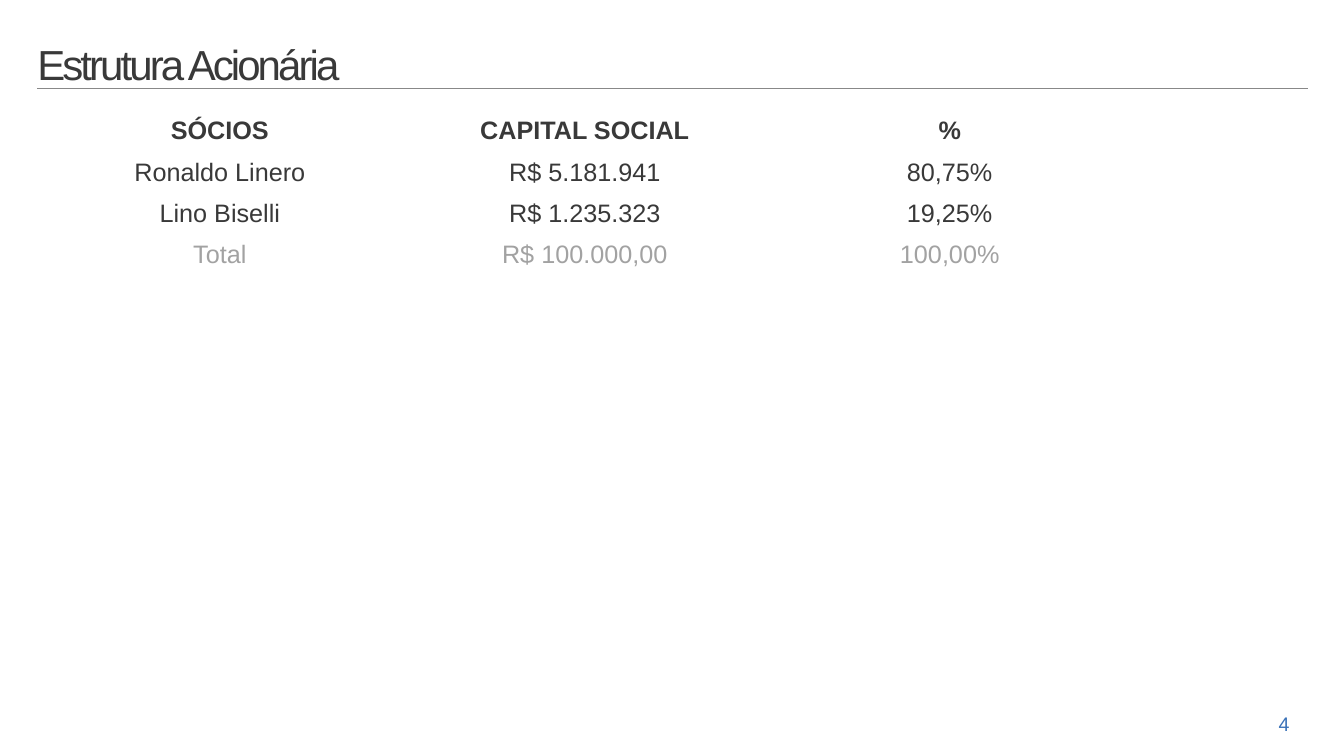
"""Build the shareholding structure slide."""
from dataclasses import dataclass

from lxml.etree import SubElement
from pptx import Presentation
from pptx.dml.color import RGBColor
from pptx.enum.shapes import MSO_CONNECTOR
from pptx.enum.text import MSO_ANCHOR, PP_ALIGN
from pptx.oxml.ns import qn
from pptx.util import Inches, Pt

TITLE = "Estrutura Acionária"
PAGE = "4"
ROWS = [
    ("SÓCIOS", "CAPITAL SOCIAL", "%"),
    ("Ronaldo Linero", "R$ 5.181.941", "80,75%"),
    ("Lino Biselli", "R$ 1.235.323", "19,25%"),
    ("Total", "R$ 100.000,00", "100,00%"),
]
LEFT, RIGHT, RULE_Y = 0.37, 12.97, 0.88
TABLE_TOP, COL_W, ROW_H = 1.11, 3.62, 0.41


@dataclass(frozen=True)
class Theme:
    font: str = "Arial"
    ink: str = "393939"
    muted: str = "A2A2A2"
    rule: str = "888888"
    accent: str = "3B72B8"
    title: int = 30
    body: int = 18
    page: int = 14


THEME = Theme()


def add_run(p, text, size, color, bold=False):
    r = p.add_run()
    r.text = text
    r.font.name = THEME.font
    r.font.size = Pt(size)
    r.font.bold = bold
    r.font.color.rgb = RGBColor.from_string(color)
    return r


def add_box(s, box, margins):
    tf = s.shapes.add_textbox(*map(Inches, box)).text_frame
    tf.word_wrap = True
    tf.margin_left, tf.margin_top, tf.margin_right, tf.margin_bottom = map(Inches, margins)
    return tf


def add_rule(s):
    line = s.shapes.add_connector(
        MSO_CONNECTOR.STRAIGHT, Inches(LEFT), Inches(RULE_Y), Inches(RIGHT), Inches(RULE_Y))
    line.line.color.rgb = RGBColor.from_string(THEME.rule)
    line.line.width = Pt(0.85)
    SubElement(line._element.spPr, qn("a:effectLst"))


def add_title(s):
    tf = add_box(s, (LEFT, 0.12, 6.41, 0.76), (0, 0.07, 0, 0))
    tf.vertical_anchor = MSO_ANCHOR.BOTTOM
    p = tf.paragraphs[0]
    p.line_spacing = 0.85
    r = add_run(p, TITLE, THEME.title, THEME.ink)
    r.font._element.set("spc", "-210")


def add_page_number(s):
    p = add_box(s, (12.47, 7.01, 0.53, 0.34), (0.1, 0.05, 0.1, 0.05)).paragraphs[0]
    p.alignment = PP_ALIGN.CENTER
    add_run(p, PAGE, THEME.page, THEME.accent)


def add_partners(s):
    n_rows, n_cols = len(ROWS), len(ROWS[0])
    table = s.shapes.add_table(
        n_rows, n_cols, Inches(LEFT), Inches(TABLE_TOP),
        Inches(n_cols * COL_W), Inches(n_rows * ROW_H)).table
    table.first_row = table.horz_banding = False
    for col in table.columns:
        col.width = Inches(COL_W)
    for i, values in enumerate(ROWS):
        table.rows[i].height = Inches(ROW_H)
        color = THEME.muted if i == n_rows - 1 else THEME.ink
        for j, value in enumerate(values):
            cell = table.cell(i, j)
            for side in ("a:lnL", "a:lnR", "a:lnT", "a:lnB"):
                border = SubElement(cell._tc.get_or_add_tcPr(), qn(side))
                SubElement(border, qn("a:noFill"))
            cell.fill.background()
            p = cell.text_frame.paragraphs[0]
            p.alignment = PP_ALIGN.CENTER
            add_run(p, value, THEME.body, color, bold=i == 0)


def main():
    prs = Presentation()
    prs.slide_width, prs.slide_height = Inches(13.33), Inches(7.5)
    s = prs.slides.add_slide(prs.slide_layouts[6])
    add_rule(s)
    add_page_number(s)
    add_title(s)
    add_partners(s)
    prs.save("out.pptx")


if __name__ == "__main__":
    main()
